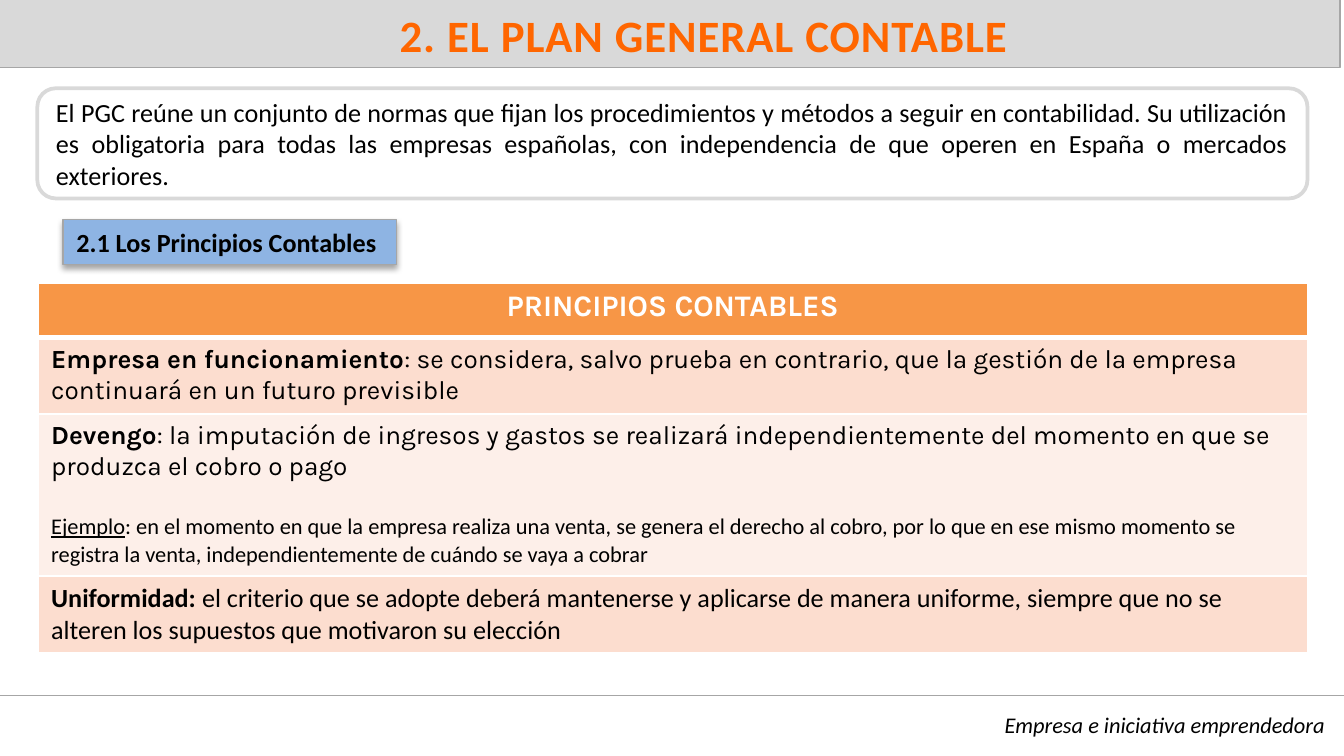
from dataclasses import dataclass

from lxml import etree
from pptx import Presentation
from pptx import util as u
from pptx.dml.color import RGBColor
from pptx.enum import shapes, text
from pptx.oxml import ns

Pt = u.Pt
KIND = shapes.MSO_SHAPE
ALIGN = text.PP_ALIGN
ANCHOR = text.MSO_ANCHOR

HEX = {
    "black": "000000", "white": "FFFFFF", "title": "FF6600",
    "bar": "D9D9D9", "rule": "A6A6A6", "blue": "8EB4E3",
    "head": "F79646", "dark": "FCDDCF", "light": "FDEFE9", "edge": "101A26",
}


@dataclass
class Box:
    left: float
    top: float
    width: float
    height: float

    def pts(self) -> list:
        return [Pt(v) for v in (self.left, self.top, self.width, self.height)]


@dataclass
class Row:
    height: float
    fill: str
    paras: list  # each paragraph is a list of (text, format) pairs
    align: int = ALIGN.LEFT
    base: float = 1  # width of the bottom border


def color(name: str) -> RGBColor:
    return RGBColor.from_string(HEX[name])


def node(up, tag: str, **attrs):
    """Add an XML child in the drawing namespace."""
    return etree.SubElement(up, ns.qn("a:" + tag),
                            {k: str(v) for k, v in attrs.items()})


def write(para, words: str, size=14, font="Calibri", ink="black",
          bold=False, italic=False, under=False):
    """Add one formatted run to a paragraph."""
    run = para.add_run()
    run.text = words
    face = run.font
    face.size, face.name = Pt(size), font
    face.bold, face.italic, face.underline = bold, italic, under
    face.color.rgb = color(ink)
    return run


def panel(slide, kind, box: Box, fill, line: str, width: float, anchor):
    """Draw a shape and return it with its first paragraph."""
    form = slide.shapes.add_shape(kind, *box.pts())
    form.shadow.inherit = False
    if fill:
        form.fill.solid()
        form.fill.fore_color.rgb = color(fill)
    else:
        form.fill.background()
    form.line.color.rgb = color(line)
    form.line.width = Pt(width)
    frame = form.text_frame
    frame.word_wrap = True
    frame.vertical_anchor = anchor
    para = frame.paragraphs[0]
    para.alignment = ALIGN.LEFT
    return form, para


def border(cell, base: float) -> None:
    """Put white borders ahead of the cell's fill."""
    props = cell._tc.get_or_add_tcPr()
    for spot, side in enumerate("LRTB"):
        line = node(props, "ln" + side, w=Pt(base if side == "B" else 1))
        node(node(line, "solidFill"), "srgbClr", val=HEX["white"])
        props.insert(spot, line)


def grid(slide, box: Box, rows: list[Row]) -> None:
    table = slide.shapes.add_table(len(rows), 1, *box.pts()).table
    for spot, row in enumerate(rows):
        table.rows[spot].height = Pt(row.height)
        cell = table.cell(spot, 0)
        cell.fill.solid()
        cell.fill.fore_color.rgb = color(row.fill)
        border(cell, row.base)
        frame = cell.text_frame
        for order, runs in enumerate(row.paras):
            para = frame.add_paragraph() if order else frame.paragraphs[0]
            para.alignment = row.align
            if order:
                para.space_before = Pt(17)
            for words, style in runs:
                write(para, words, **style)


def main() -> None:
    deck = Presentation()
    deck.slide_width, deck.slide_height = Pt(720), Pt(405)
    slide = deck.slides.add_slide(deck.slide_layouts[6])

    # Footer rule
    rule = slide.shapes.add_connector(shapes.MSO_CONNECTOR.STRAIGHT,
                                      Pt(0), Pt(372.5), Pt(720), Pt(372.5))
    rule.line.color.rgb = color("rule")
    rule.line.width = Pt(0.75)
    node(rule._element.spPr, "effectLst")

    # Title bar, with a faint outline on the letters
    _, para = panel(slide, KIND.RECTANGLE, Box(-2, -0.5, 720, 36.7),
                    "bar", "rule", 0.75, ANCHOR.BOTTOM)
    para.alignment = ALIGN.CENTER
    para._p.get_or_add_pPr().set("marL", str(Pt(38)))
    run = write(para, "2. EL PLAN GENERAL CONTABLE", size=24, ink="title",
                bold=True)
    props = run.font._element
    props.set("spc", "50")
    edge = node(props, "ln", w=Pt(1.06))
    tint = node(node(edge, "solidFill"), "srgbClr", val=HEX["edge"])
    node(tint, "alpha", val=6000)
    props.insert(0, edge)

    # Footer text
    foot = slide.shapes.add_textbox(*Box(65, 377.5, 652, 21.6).pts())
    foot.text_frame.word_wrap = True
    para = foot.text_frame.paragraphs[0]
    para.alignment = ALIGN.RIGHT
    write(para, "Empresa e iniciativa emprendedora", size=12, italic=True)

    # Section label with a soft shadow
    label, para = panel(slide, KIND.RECTANGLE, Box(33.8, 117.5, 178.6, 24.3),
                        "blue", "rule", 0.75, ANCHOR.TOP)
    write(para, "2.1 Los Principios Contables", bold=True)
    glow = label._element.spPr.find(ns.qn("a:effectLst"))
    shade = node(glow, "outerShdw", blurRad=Pt(3.1), dist=Pt(1.8),
                 dir=5400000, rotWithShape=0)
    node(node(shade, "srgbClr", val=HEX["black"]), "alpha", val=35000)

    # Introduction
    _, para = panel(slide, KIND.ROUNDED_RECTANGLE, Box(20, 47.3, 680.4, 59),
                    None, "bar", 2, ANCHOR.MIDDLE)
    para.alignment = ALIGN.JUSTIFY
    write(para, "El PGC reúne un conjunto de normas que fijan los "
          "procedimientos y métodos a seguir en contabilidad. Su utilización "
          "es obligatoria para todas las empresas españolas, con "
          "independencia de que operen en España o mercados exteriores.")

    # Table of principles
    karla = dict(font="Karla")
    strong = dict(font="Karla", bold=True)
    small = dict(size=12)
    grid(slide, Box(20.2, 151.5, 680.4, 197), [
        Row(29.5, "head", [[("PRINCIPIOS CONTABLES",
                             dict(strong, size=16, ink="white"))]],
            align=ALIGN.CENTER, base=3),
        Row(40.5, "dark", [[
            ("Empresa en funcionamiento", strong),
            (": se considera, salvo prueba en contrario, que la gestión de "
             "la empresa continuará en un futuro previsible", karla)]]),
        Row(86.8, "light", [
            [("Devengo", strong),
             (": la imputación de ingresos y gastos se realizará "
              "independientemente del momento en que se produzca el cobro o "
              "pago", karla)],
            [("Ejemplo", dict(small, under=True)),
             (": en el momento en que la empresa realiza una venta, se "
              "genera el derecho al cobro, por lo que en ese mismo momento "
              "se registra la venta, independientemente de cuándo se vaya a "
              "cobrar", small)]]),
        Row(40.2, "dark", [[
            ("Uniformidad: ", dict(bold=True)),
            ("el criterio que se adopte deberá mantenerse y aplicarse de "
             "manera uniforme, siempre que no se alteren los supuestos que "
             "motivaron su elección", {})]]),
    ])
    deck.save("out.pptx")


if __name__ == "__main__":
    main()
